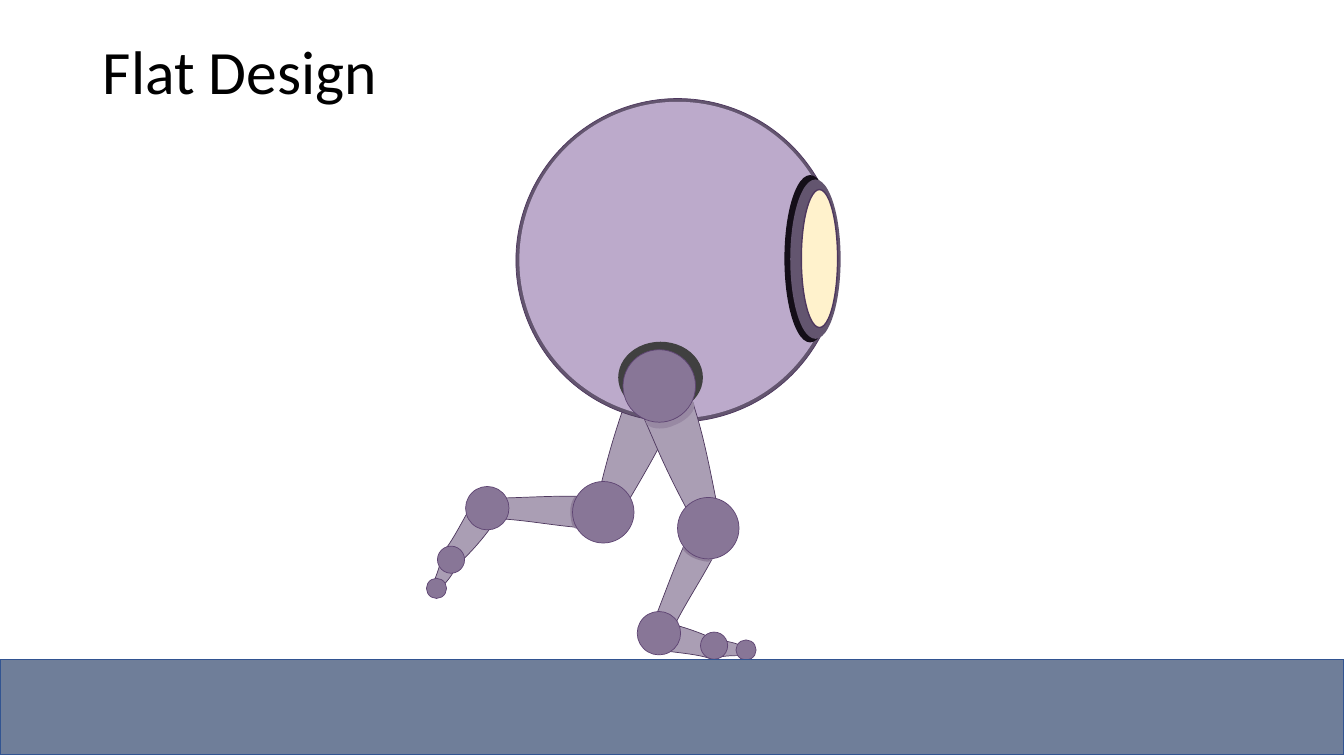
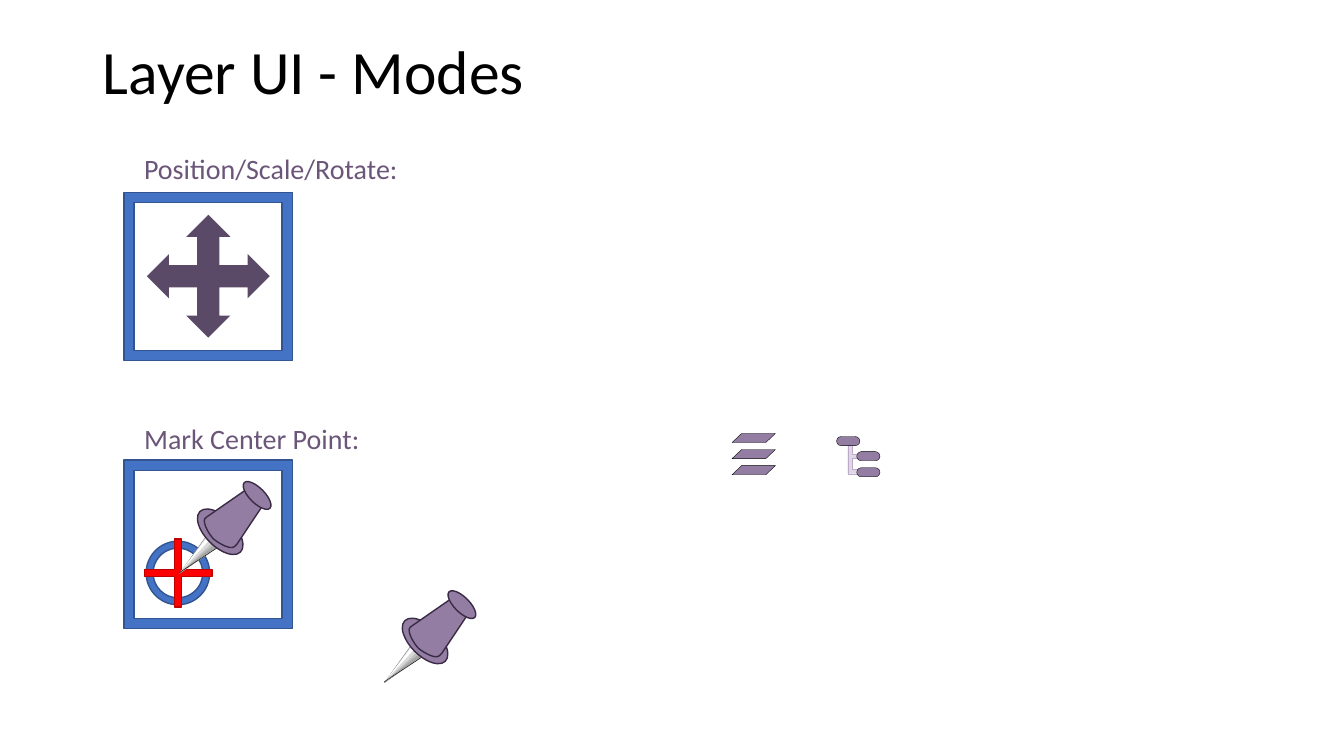
import math

import pptx
import pptx.dml.color
import pptx.enum.shapes
import pptx.enum.text
import pptx.oxml
import pptx.oxml.ns
import pptx.util

Pt = pptx.util.Pt
qn = pptx.oxml.ns.qn
rgb = pptx.dml.color.RGBColor.from_string
MSO = pptx.enum.shapes.MSO_SHAPE
ALIGN = pptx.enum.text.PP_ALIGN
ANCHOR = pptx.enum.text.MSO_ANCHOR

LIMB, LIMB_LINE = "AA9EB4", "4E385E"
JOINT, JOINT_LINE = "887697", "5F4573"
SHELL, DARK, SHADE = "BCAACB", "63556F", "8F7F9A"
BLUE, BLUE_LINE = "4472C4", "325491"
VIOLET, VIOLET_LINE, LABEL = "937DA3", "3A2B45", "6B567A"


def draw(sl, form, box, fill, line=None, width=0.5, turn=0, adj=()):
    """Draw a preset in box (x, y, w, h), or an outline turned about box (x, y).

    An outline lists points; an entry of six numbers is a cubic curve.
    """
    if isinstance(form, list):
        pts = [step[i:i + 2] for step in form for i in range(0, len(step), 2)]
        fb = sl.shapes.build_freeform(*[Pt(a + b) for a, b in zip(box, pts[0])])
        fb.add_line_segments([(Pt(box[0] + x), Pt(box[1] + y)) for x, y in pts[1:]], close=True)
        s = fb.convert_to_shape()
        # Each curve joins three line points into one element
        geom = s._element.find(".//" + qn("a:path"))
        segments = iter(geom.findall(qn("a:lnTo")))
        for step in form[1:]:
            segment = next(segments)
            if len(step) == 6:
                segment.tag = qn("a:cubicBezTo")
                for extra in (next(segments), next(segments)):
                    segment.append(extra[0])
                    geom.remove(extra)
        # Keep box (x, y) as the pivot although the shape turns about its middle
        ox, oy = [(min(v) + max(v)) / 2 for v in zip(*pts)]
        cos, sin = math.cos(math.radians(turn)), math.sin(math.radians(turn))
        s.left += Pt(ox * cos - oy * sin - ox)
        s.top += Pt(ox * sin + oy * cos - oy)
    else:
        s = sl.shapes.add_shape(form, *[Pt(v) for v in box])
        for i, value in enumerate(adj):
            s.adjustments[i] = value
    s.rotation = turn
    s.shadow.inherit = False
    s.fill.solid()
    s.fill.fore_color.rgb = rgb(fill)
    if line:
        s.line.color.rgb = rgb(line)
        s.line.width = Pt(width)
    else:
        s.line.fill.background()


prs = pptx.Presentation()
prs.slide_width, prs.slide_height = Pt(960), Pt(540)

title_box = {"left": Pt(66.2), "top": Pt(1.4), "width": Pt(828), "height": Pt(104.4)}
title_frame = {"vertical_anchor": ANCHOR.MIDDLE, "word_wrap": True,
               "auto_size": pptx.enum.text.MSO_AUTO_SIZE.NONE}
title_para = {"alignment": ALIGN.LEFT, "line_spacing": 0.9}
title_font = {"name": "Calibri", "size": Pt(44)}

slides = []
for text in ("Flat Design", "Layer UI - Modes"):
    s = prs.slides.add_slide(prs.slide_layouts[5])
    sp = s.shapes.title
    tf = sp.text_frame
    p = tf.paragraphs[0]
    r = p.add_run()
    r.text = text
    for obj, values in ((sp, title_box), (tf, title_frame),
                        (p, title_para), (r.font, title_font)):
        for key, value in values.items():
            setattr(obj, key, value)
    r.font.color.rgb = rgb("000000")
    slides.append(s)
robot, modes = slides

# Walking robot: limb outlines lie about their own centres
thigh = [(-19.1, -46.3), (-18.9, -47.9, -7.8, -49.2, -6.3, -49.1), (6.3, -49),
         (8.3, -49.2, 18.9, -48.4, 18.8, -46.8), (18.9, -15.8, 16, 4, 9.7, 46.2),
         (9.6, 47.7, 8.1, 49.9, 6.6, 49.8), (-6, 49.4),
         (-8.3, 49.5, -9.8, 47.8, -9.6, 46.2), (-17.7, -6.4, -15.8, -15, -19.1, -46.3)]
shin = [(-11.2, -38), (-11.2, -39.7, -7.3, -39.9, -6, -40.3), (3.7, -40.2),
        (5.3, -40.1, 11, -39.6, 11, -38), (11.5, -12.9, 6.3, 11.8, 6.1, 37.2),
        (6, 38.8, 4.8, 39.5, 4.1, 39.7), (-6.2, 39.7),
        (-7.2, 39.4, -8.4, 38.4, -8.4, 36.8), (-9.6, 12, -12.6, -15.2, -11.2, -38)]
knee_shade = [(-11, -3.2), (11.2, -4.8), (11.2, -4.8, 11.8, -1.9, 11.4, 0.6),
              (11, 3.2, 3.6, 4.3, -0.3, 4.5), (-4.2, 4.7, -8.6, 3.6, -11.2, 1.6)]
toe = [(-6.5, -10.1), (-3.6, -10.7, 3.5, -10.9, 6, -10.6), (5.7, -4.8, 5.3, 1, 2.7, 7.1),
       (1.4, 10.9, -1.6, 13.2, -3.5, 9.3), (-4.1, 4.8, -4.3, -5.5, -6.5, -10.1)]
foot = [(-10.5, -16.9), (-10.3, -17.9, -4.5, -23.3, -3.5, -23.1), (3.7, -23.1),
        (4.8, -23, 9.9, -19.7, 9.8, -18.6), (10.6, -9.3, 9.9, 10.2, 7.3, 21.1),
        (7.1, 23.1, -3.9, 24.1, -6.9, 23.7), (-5.3, 15.2, -8.9, -2.8, -10.5, -16.9)]
hip_shade = [(-18.7, -7.8), (19, -10.4), (18.2, -6.1, 18.3, -2.3, 18.5, 1.6),
             (16.4, 7.7, 6.2, 10.3, 0.1, 10.3), (-6.3, 11.1, -16, 8.4, -18, 3.1)]

limbs = [(thigh, LIMB, LIMB_LINE), (shin, LIMB, LIMB_LINE), (knee_shade, SHADE, None),
         (toe, LIMB, LIMB_LINE), (foot, LIMB, LIMB_LINE)]
joint_sizes = [14.4, 19.4, 31, 43.9]

back_leg = ([(452.5, 319.3, 22), (390.2, 365.4, 91.7), (411.8, 366.1, 91.7),
             (316.1, 411.5, 26), (335.2, 380.5, 37)],
            [(311.8, 420.3), (322.2, 399.8), (348.1, 363), (430.9, 365.9)])
front_leg = ([(488.5, 325.1, 340.4), (489.6, 415.1, 24.8), (498.2, 394.9, 24.8),
              (523.4, 464, 274), (487.8, 458.3, 285)],
             [(532.9, 464.3), (510.1, 461.2), (470.7, 452.3), (505.9, 377.3)])
shell = [((368.5, 70.4, 231.1, 231.1), DARK, LIMB_LINE),
         ((371, 72.7, 226.1, 226.1), SHELL, None),
         ((441.6, 244.1, 60.5, 51.1), "404040", None)]

for leg, covers in ((back_leg, shell), (front_leg, [])):
    for (outline, fill, line), (x, y, turn) in zip(limbs, leg[0]):
        draw(robot, outline, (x, y), fill, line, turn=turn)
    for size, (x, y) in zip(joint_sizes, leg[1]):
        draw(robot, MSO.OVAL, (x - size / 2, y - size / 2, size, size), JOINT, JOINT_LINE)
    for box, fill, line in covers:
        draw(robot, MSO.OVAL, box, fill, line)

draw(robot, hip_shade, (478.1, 294.1), "9889A3", turn=340.4)
draw(robot, MSO.OVAL, (445, 249.8, 51.8, 51.8), JOINT, JOINT_LINE)
draw(robot, MSO.RECTANGLE, (0, 471.3, 960, 67.7), "6F7E99", BLUE_LINE, 1)
for box, fill, line in (((560.3, 125.1, 36.7, 119.5), "140E18", None),
                        ((564.5, 128.2, 36, 113.8), DARK, None),
                        ((572.4, 135.4, 25.9, 98.6), "FFF2CC", LIMB_LINE)):
    draw(robot, MSO.OVAL, box, fill, line, 1)

# Mode buttons with their labels
label_font = {"name": "Calibri", "size": Pt(20)}
for text, label_top, label_width, top in (("Position/Scale/Rotate:", 104.4, 198, 137.5),
                                          ("Mark Center Point:", 297.4, 170, 328.7)):
    draw(modes, MSO.RECTANGLE, (95.8, top + 7.2, 105.8, 105.8), "FFFFFF", "F2F2F2", 1)
    draw(modes, MSO.FRAME, (88.6, top, 120.2, 120.2), BLUE, BLUE_LINE, 1, adj=[0.06])
    sp = modes.shapes.add_textbox(Pt(95.8), Pt(label_top), Pt(label_width), Pt(31.7))
    sp.text_frame.word_wrap = False
    r = sp.text_frame.paragraphs[0].add_run()
    r.text = text
    for key, value in label_font.items():
        setattr(r.font, key, value)
    r.font.color.rgb = rgb(LABEL)

draw(modes, MSO.QUAD_ARROW, (104.9, 153.4, 87.8, 87.8), "5A4967", adj=[0.18] * 3)
draw(modes, MSO.DONUT, (104.4, 386.6, 45.4, 45.4), BLUE, BLUE_LINE, 1, adj=[0.11])
draw(modes, MSO.CROSS, (103, 385.1, 48.4, 48.4), "FF0000", "C00000", 1, adj=[0.45])

# Push pins, measured from the tip
needle = [((6.5, -28.8, 11.5, 34.6), "D9D9D9", "808080", 225),
          ((10.8, -31.7, 2.9, 34.6), "FFFFFF", None, 220.1),
          ((11.5, -28.1, 5.8, 34.6), "BFBFBF", None, 231.7)]
needle_edge = [(-1.4, -15.2), (0, 16), (1.6, -15.6)]
grip = [(-7.4, -22.1), (7.8, -22.1), (14.9, 13.5), (14.9, 14.2, 14.9, 15, 14.9, 15.6),
        (15, 19.7, 5.3, 22.1, 0.7, 22.6), (-4.4, 22.6, -13, 20.1, -14.1, 17),
        (-14.1, 16, -14.6, 15.6, -14.1, 15.1)]
for x, y in ((128.2, 409), (274.5, 487)):
    for (dx, dy, w, h), fill, line, turn in needle:
        draw(modes, MSO.ISOSCELES_TRIANGLE, (x + dx, y + dy, w, h), fill, line, 0.25, turn)
    draw(modes, needle_edge, (x + 13, y - 9.4), "A6A6A6", turn=54.1)
    cn = modes.shapes.add_connector(pptx.enum.shapes.MSO_CONNECTOR.STRAIGHT,
                                    Pt(x), Pt(y), Pt(x + 29.5), Pt(y - 19.4))
    cn.line.color.rgb = rgb("000000")
    cn.line.width = Pt(0.25)
    props = cn._element.find(qn("p:spPr"))
    props.append(pptx.oxml.parse_xml(
        '<a:effectLst xmlns:a="http://schemas.openxmlformats.org/drawingml/2006/main"/>'))
    draw(modes, MSO.OVAL, (x + 8.6, y - 39.6, 41, 20.9), VIOLET, VIOLET_LINE, 1, 45)
    draw(modes, grip, (x + 40, y - 40.3), VIOLET, VIOLET_LINE, 1, 45)
    draw(modes, MSO.OVAL, (x + 42.5, y - 60.5, 25.9, 10.8), VIOLET, VIOLET_LINE, 1, 45)

# Tree and layer icons
trunk = [(0, 0), (2.9, 0), (2.9, 10.8), (15.1, 10.8), (15.1, 13.7), (2.9, 13.7),
         (2.9, 21.6), (15.1, 21.6), (15.1, 24.5), (0, 24.5)]
draw(modes, trunk, (605.5, 313.9), "DFD8E4", SHELL, 0.25)
for x, y in ((612, 322.6), (612, 334.1), (597.6, 311.8)):
    draw(modes, MSO.ROUNDED_RECTANGLE, (x, y, 16.6, 6.5), VIOLET, "000000", 0.25, adj=[0.5])
for i in range(3):
    draw(modes, MSO.PARALLELOGRAM, (522.9, 309.6 + 11.5 * i, 31, 6.5),
         VIOLET, "000000", 0.25, adj=[1.06])

prs.save("out.pptx")
